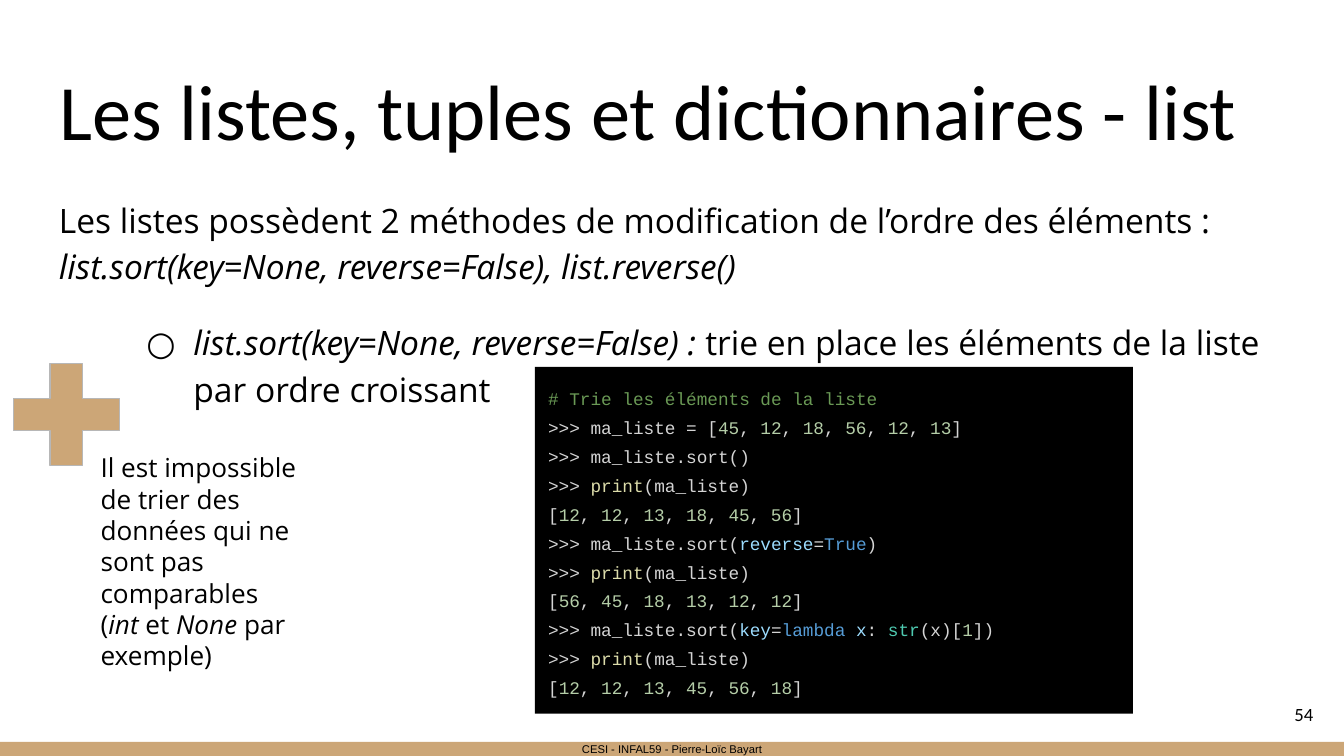
import dataclasses

import lxml.etree
import pptx
import pptx.dml.color
import pptx.enum.shapes
import pptx.enum.text
import pptx.oxml.ns
import pptx.util

Inches = pptx.util.Inches
Shapes = pptx.enum.shapes.MSO_SHAPE
Align = pptx.enum.text.PP_ALIGN
Anchor = pptx.enum.text.MSO_ANCHOR


@dataclasses.dataclass(frozen=True)
class Theme:
    """Colours, fonts and type sizes of the deck."""
    ink: str = "000000"
    accent: str = "CCA677"
    outline: str = "B7B7B7"
    panel: str = "000000"
    comment: str = "6A9955"
    plain: str = "D4D4D4"
    number: str = "B5CEA8"
    function: str = "DCDCAA"
    variable: str = "9CDCFE"
    keyword: str = "569CD6"
    builtin: str = "4EC9B0"
    heading_font: str = "Calibri"
    body_font: str = "Open Sans"
    code_font: str = "Courier New"
    footer_font: str = "Arial"
    title_size: float = 42
    body_size: float = 18
    note_size: float = 14
    number_size: float = 10
    code_size: float = 9.5
    footer_size: float = 6


THEME = Theme()


def colour(value):
    """Return the colour object for a hex value."""
    return pptx.dml.color.RGBColor.from_string(value)


def write(para, text, *, font, size, tint=THEME.ink, italic=False):
    """Add one formatted span to a paragraph."""
    span = para.add_run()
    span.text = text
    span.font.name = font
    span.font.size = pptx.util.Pt(size)
    span.font.color.rgb = colour(tint)
    span.font.italic = italic


def prepare_frame(frame, anchor=Anchor.TOP):
    """Set wrapping, insets and anchor of a text frame."""
    frame.word_wrap = True
    frame.auto_size = pptx.enum.text.MSO_AUTO_SIZE.NONE
    frame.vertical_anchor = anchor
    frame.margin_left = frame.margin_right = Inches(0.1)
    frame.margin_top = frame.margin_bottom = Inches(0.1)
    return frame


def add_text_frame(page, box, anchor=Anchor.TOP):
    """Add a text box and return its frame."""
    area = page.shapes.add_textbox(*map(Inches, box))
    return prepare_frame(area.text_frame, anchor)


def add_block(page, kind, box, fill, line=None):
    """Add a flat filled shape with an optional thin outline."""
    block = page.shapes.add_shape(kind, *map(Inches, box))
    block.shadow.inherit = False
    block.fill.solid()
    block.fill.fore_color.rgb = colour(fill)
    if line:
        block.line.color.rgb = colour(line)
        block.line.width = pptx.util.Pt(0.75)
    else:
        block.line.fill.background()
    return block


def add_bullet(para, mark, left, hanging):
    """Give a paragraph a hanging bullet."""
    properties = para._p.get_or_add_pPr()
    properties.set("marL", str(Inches(left)))
    properties.set("indent", str(-Inches(hanging)))
    properties.set("lvl", "1")
    qualified = pptx.oxml.ns.qn
    tint = lxml.etree.SubElement(properties, qualified("a:buClr"))
    lxml.etree.SubElement(tint, qualified("a:srgbClr"), val=THEME.ink)
    lxml.etree.SubElement(properties, qualified("a:buFont"), typeface=THEME.body_font)
    lxml.etree.SubElement(properties, qualified("a:buChar"), char=mark)


def add_footer(page, box):
    """Draw the footer band with its centred credit."""
    band = add_block(page, Shapes.RECTANGLE, box, THEME.accent)
    para = prepare_frame(band.text_frame, Anchor.MIDDLE).paragraphs[0]
    para.alignment = Align.CENTER
    write(para, "CESI - INFAL59 - Pierre-Loïc Bayart",
          font=THEME.footer_font, size=THEME.footer_size)


def add_title(page, box, text):
    """Place and format the title placeholder."""
    title = page.shapes.title
    title.left, title.top, title.width, title.height = map(Inches, box)
    para = prepare_frame(title.text_frame, Anchor.BOTTOM).paragraphs[0]
    para.alignment = Align.LEFT
    write(para, text, font=THEME.heading_font, size=THEME.title_size)


def add_body(page, box):
    """Write the introduction and its bullet."""
    style = {"font": THEME.body_font, "size": THEME.body_size}
    frame = add_text_frame(page, box)
    intro = frame.paragraphs[0]
    intro.line_spacing = 1.15
    write(intro, "Les listes possèdent 2 méthodes de modification de l’ordre des éléments : ", **style)
    write(intro, "list.sort(key=None, reverse=False), list.reverse()", italic=True, **style)
    item = frame.add_paragraph()
    add_bullet(item, "○", 1, 0.35)
    item.line_spacing = 1.15
    item.space_before = pptx.util.Pt(16)
    write(item, "list.sort(key=None, reverse=False) :", italic=True, **style)
    write(item, " trie en place les éléments de la liste par ordre croissant", **style)


def add_page_number(page, box, number):
    """Write the page number at the right of its box."""
    para = add_text_frame(page, box, Anchor.MIDDLE).paragraphs[0]
    para.alignment = Align.RIGHT
    write(para, str(number), font=THEME.heading_font, size=THEME.number_size)


def add_note(page, box):
    """Draw the plus sign and the remark below it."""
    left, top, _, _ = box
    plus = add_block(page, Shapes.MATH_PLUS, (left, top, 1.07, 1.03), THEME.accent, THEME.outline)
    plus.adjustments[0] = 0.235
    para = add_text_frame(page, (left + 0.69, top + 0.69, 1.67, 1.65)).paragraphs[0]
    parts = [("Il est impossible de trier des données qui ne sont pas comparables (", False),
             ("int ", True), ("et ", False), ("None", True), (" par exemple)", False)]
    for text, italic in parts:
        write(para, text, font=THEME.body_font, size=THEME.note_size, italic=italic)


def list_tokens(prefix, values):
    """Return coloured tokens for a list of numbers after a prefix."""
    tokens = [(prefix + "[", THEME.plain)]
    for position, value in enumerate(values):
        if position:
            tokens.append((", ", THEME.plain))
        tokens.append((str(value), THEME.number))
    return tokens + [("]", THEME.plain)]


def add_code(page, box):
    """Draw the code panel with its coloured session."""
    plain = THEME.plain
    show = [(">>> ", plain), ("print", THEME.function), ("(ma_liste)", plain)]
    lines = [
        [("# Trie les éléments de la liste", THEME.comment)],
        list_tokens(">>> ma_liste = ", [45, 12, 18, 56, 12, 13]),
        [(">>> ma_liste.sort()", plain)],
        show,
        list_tokens("", [12, 12, 13, 18, 45, 56]),
        [(">>> ma_liste.sort(", plain), ("reverse", THEME.variable), ("=", plain),
         ("True", THEME.keyword), (")", plain)],
        show,
        list_tokens("", [56, 45, 18, 13, 12, 12]),
        [(">>> ma_liste.sort(", plain), ("key", THEME.variable), ("=", plain),
         ("lambda ", THEME.keyword), ("x", THEME.variable), (": ", plain),
         ("str", THEME.builtin), ("(x)[", plain), ("1", THEME.number), ("])", plain)],
        show,
        list_tokens("", [12, 12, 13, 45, 56, 18]),
    ]
    panel = add_block(page, Shapes.RECTANGLE, box, THEME.panel)
    frame = prepare_frame(panel.text_frame)
    for position, tokens in enumerate(lines):
        para = frame.add_paragraph() if position else frame.paragraphs[0]
        para.alignment = Align.LEFT
        para.line_spacing = 1.36
        for text, tint in tokens:
            write(para, text, font=THEME.code_font, size=THEME.code_size, tint=tint)


def main():
    """Build and save the deck."""
    deck = pptx.Presentation()
    deck.slide_width = Inches(10)
    deck.slide_height = deck.slide_width * 9 // 16
    page = deck.slides.add_slide(deck.slide_layouts.get_by_name("Title Only"))
    add_footer(page, (0, 5.52, 10, 0.11))
    add_title(page, (0.34, 0.35, 9.32, 0.91), "Les listes, tuples et dictionnaires - list")
    add_body(page, (0.34, 1.34, 9.32, 1.53))
    add_page_number(page, (9.27, 5.1, 0.6, 0.43), 54)
    add_note(page, (-0.04, 2.57, 2.36, 2.34))
    add_code(page, (3.98, 2.73, 4.45, 2.58))
    deck.save("out.pptx")


if __name__ == "__main__":
    main()
